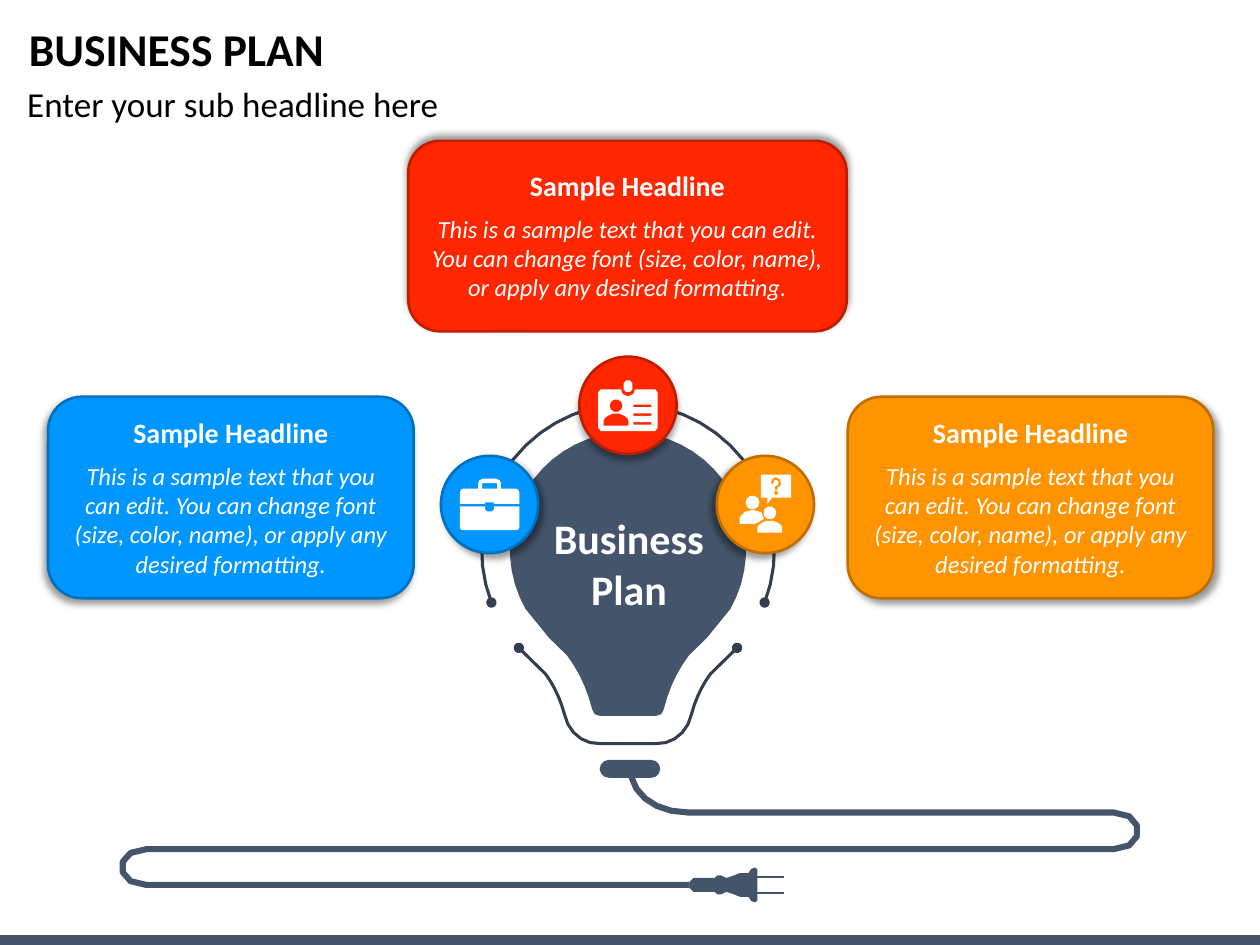
from math import cos, dist, radians, sin

from lxml.etree import SubElement
from pptx import Presentation
from pptx.dml.color import RGBColor
from pptx.enum.shapes import MSO_CONNECTOR as CONNECTOR, MSO_SHAPE as SHAPE
from pptx.enum.text import MSO_ANCHOR as ANCHOR, PP_ALIGN as ALIGN
from pptx.oxml.ns import qn
from pptx.util import Cm, Pt

WHITE = RGBColor(0xFF, 0xFF, 0xFF)
BLACK = RGBColor(0x00, 0x00, 0x00)
SLATE = RGBColor(0x44, 0x54, 0x6A)
NAVY = RGBColor(0x33, 0x3F, 0x50)
BLUE, BLUE_EDGE = RGBColor(0x00, 0x96, 0xFF), RGBColor(0x00, 0x70, 0xBF)
ORANGE, ORANGE_EDGE = RGBColor(0xFF, 0x93, 0x00), RGBColor(0xBF, 0x6E, 0x00)
RED, RED_EDGE = RGBColor(0xFF, 0x26, 0x00), RGBColor(0xBF, 0x1D, 0x00)

HEADLINE = "Sample Headline"
SAMPLE = ("This is a sample text that you can edit. You can change font "
          "(size, color, name), or apply any desired formatting.")
TITLE_FONT = {"size": Pt(26), "bold": True}
SUBTITLE_FONT = {"size": Pt(20)}
HEADLINE_FONT = {"size": Pt(16), "bold": True}
SAMPLE_FONT = {"size": Pt(14), "italic": True}
BULB_FONT = {"size": Pt(24), "bold": True}

BULB_CENTER = (12.66, 11.09)
BADGE_SIZE = 1.96


def trace(*steps):
    points = [steps[0]]
    for step in steps[1:]:
        if len(step) == 2:
            points.append(step)
            continue
        nodes = [points[-1], step[:2], step[2:4], step[4:]]
        pieces = 2 if dist(nodes[0], nodes[3]) < 3 else 5
        for i in range(1, pieces + 1):
            t = i / pieces
            weights = ((1 - t) ** 3, 3 * t * (1 - t) ** 2, 3 * t * t * (1 - t), t ** 3)
            points.append(tuple(sum(w * n[k] for w, n in zip(weights, nodes)) for k in (0, 1)))
    return points


def arc(x, y, radius, start=0, end=360):
    pieces = round(8 + abs(end - start) / 360 * radius * 1.2)
    angles = [radians(start + (end - start) * i / pieces) for i in range(pieces + 1)]
    return [(x + radius * cos(a), y + radius * sin(a)) for a in angles]


def mirror(half, x_sign=-1, y_sign=1):
    return half + [(x * x_sign, y * y_sign) for x, y in reversed(half)]


def shift(points, dx, dy):
    return [(x + dx, y + dy) for x, y in points]


def box(left, top, right, bottom):
    return [(left, top), (right, top), (right, bottom), (left, bottom)]


def paint(shape, fill=None, edge=None, width=1.5):
    shape.shadow.inherit = False
    if fill is None:
        shape.fill.background()
    else:
        shape.fill.solid()
        shape.fill.fore_color.rgb = fill
    if edge is None:
        shape.line.fill.background()
    else:
        shape.line.color.rgb = edge
        shape.line.width = Pt(width)


def add_outline(slide, origin, contours, fill=None, edge=None, width=1.5):
    builder = None
    for contour in contours:
        points = [(Cm(origin[0] + x / 10), Cm(origin[1] + y / 10)) for x, y in contour]
        if builder is None:
            builder = slide.shapes.build_freeform(*points[0], scale=1.0)
        else:
            builder.move_to(*points[0])
        builder.add_line_segments(points[1:], close=fill is not None)
    outline = builder.convert_to_shape()
    paint(outline, fill, edge, width)
    return outline


def add_dotted_outline(slide, points):
    outline = add_outline(slide, BULB_CENTER, [points], edge=NAVY, width=1.75)
    for end in ("a:headEnd", "a:tailEnd"):
        SubElement(outline.line._get_or_add_ln(), qn(end), type="oval")


def add_preset(slide, kind, bounds, fill, edge=None, shadow_angle=None):
    shape = slide.shapes.add_shape(kind, *map(Cm, bounds))
    paint(shape, fill, edge)
    if shadow_angle is not None:
        effects = shape._element.spPr.find(qn("a:effectLst"))
        shadow = SubElement(effects, qn("a:outerShdw"), blurRad=str(Pt(4)), dist=str(Pt(3)),
                            dir=str(shadow_angle * 60000), rotWithShape="0")
        color = SubElement(shadow, qn("a:srgbClr"), val="000000")
        SubElement(color, qn("a:alpha"), val="40000")
    return shape


def write(frame, text, font_format, color, align):
    frame.text = text
    paragraph = frame.paragraphs[0]
    paragraph.alignment = align
    font = paragraph.runs[0].font
    font.color.rgb = color
    for key, value in {"name": "Calibri", **font_format}.items():
        setattr(font, key, value)
    return paragraph


def add_label(slide, bounds, text, font_format, color=WHITE, align=ALIGN.CENTER, wrap=True):
    frame = slide.shapes.add_textbox(*map(Cm, bounds)).text_frame
    frame.word_wrap = wrap
    return write(frame, text, font_format, color, align)


def add_heading(slide):
    title = slide.shapes.title
    bounds = {"left": 0.33, "top": 0.43, "width": 24.77, "height": 1.22}
    for key, value in bounds.items():
        setattr(title, key, Cm(value))
    title.text_frame.vertical_anchor = ANCHOR.MIDDLE
    heading = write(title.text_frame, "BUSINESS PLAN", TITLE_FONT, BLACK, ALIGN.LEFT)
    subheading = add_label(slide, (0.3, 1.63, 24.77, 1.63), "Enter your sub headline here",
                           SUBTITLE_FONT, BLACK, ALIGN.LEFT)
    heading.line_spacing = subheading.line_spacing = 0.9


def add_bulb(slide):
    add_dotted_outline(slide, arc(0, 0, 29.5, 159, 381))
    add_dotted_outline(slide, mirror(trace(
        (-22, 19.7), (-16.6, 25), (-14.9, 27.3, -13.6, 30.1, -12.8, 33.1),
        (-12.1, 36.7, -9, 39.2, -5.7, 39))))
    neck = trace((-20.7, 11.8), (-15.9, 17.7), (-12.3, 21.2),
                 (-10, 24.3, -8.3, 27.8, -7.2, 32.1), (-7.2, 33, -6.4, 33.4, -5.7, 33.4))
    glass = arc(0, 0, 23.8, 270, 150)
    add_outline(slide, BULB_CENTER, [mirror(glass + neck)], SLATE)


def add_cord(slide):
    cord = trace((127.3, 156.7), (128.3, 160.8, 132.8, 163.8, 138.7, 163.8), (224.5, 163.8),
                 (231, 163.8, 231, 171.2, 224.5, 171.2), (29.5, 171.2),
                 (22.9, 171.2, 22.9, 178.4, 29.5, 178.4), (139, 178.4))
    add_outline(slide, (0, 0), [cord], edge=SLATE, width=3.5)
    socket = add_preset(slide, SHAPE.ROUNDED_RECTANGLE, (12.09, 15.32, 1.22, 0.36), SLATE)
    socket.adjustments[0] = 0.5
    plug = [(0, 0), (0, -0.6), (0.8, -1.4), (5.1, -1.4), (5.6, -1.9), (6.4, -1.9), (7.4, -1.4),
            (8.4, -1.7), (10.2, -2.4), (11.9, -2.4), (12.4, -3.2), (13.1, -3.5), (13.7, -3.2),
            (13.7, 0)]
    add_outline(slide, (13.9, 17.84), [mirror(plug, 1, -1)], SLATE)
    for y in (17.68, 18):
        prong = slide.shapes.add_connector(CONNECTOR.STRAIGHT, Cm(15.27), Cm(y), Cm(15.8), Cm(y))
        prong.line.color.rgb = SLATE
        prong.line.width = Pt(1)
        SubElement(prong._element.spPr, qn("a:effectLst"))


def briefcase():
    base = trace((0, 1.4), (-0.5, 1.4), (-0.9, 1), (-0.9, 0.4), (-6, 0.4), (-6, 4.7),
                 (-6, 5, -5.6, 5.2, -5.3, 5.2))
    lid = trace((0, -0.4), (-0.9, -0.4), (-0.9, -0.1), (-6, -0.1), (-6, -2.4),
                (-6, -2.9, -5.6, -3.2, -5.3, -3.2), (-2.3, -3.2), (-2.3, -4.2),
                (-2.3, -4.7, -1.9, -5.2, -1.3, -5.2))
    handle_gap = [(-1.5, -3.2), (-1.5, -4.2), (-1.3, -4.3)]
    return [mirror(half) for half in (base, lid, handle_gap)]


def person(x, y):
    shoulders = mirror([(-0.7, 1.6), (-1.6, 2), (-2.3, 2.5), (-2.5, 3), (-2.5, 4)])
    return [arc(x, y, 1.3), shift(shoulders, x, y)]


def id_card():
    card = [(-0.3, -1.9), (-1.1, -2.3), (-1.4, -3.2), (-5.5, -3.2), (-6, -2.6), (-6, 4.5),
            (-5.5, 5.2)]
    clip = [(-0.4, -5), (-0.9, -4.4), (-0.9, -3.2), (-0.4, -2.7)]
    lines = [box(1.1, y, 4.7, y + 0.5) for y in (-0.1, 1.65, 3.4)]
    return [mirror(card), mirror(clip), *person(-2.4, 0.1), *lines]


def discussion():
    back = [(0, 1.5), (1.2, 1.8), (1.8, 2), (2.3, 3.3), (1, 4.1), (0.5, 4.3), (-2.6, 4.3),
            (-2.6, 3), (-1.6, 1.9)]
    bubble = [(-0.9, -6), (5.2, -6), (5.2, -1.4), (1.4, -1.4), (0.4, -0.1), (0.4, -1.4),
              (-0.9, -1.4)]
    question = trace((1.1, -4.2), (1.1, -5, 1.4, -5.5, 2.1, -5.5), (2.7, -5.5, 3.2, -4.9, 3.2, -4.2),
                     (3.2, -3.8, 2.9, -3.5, 2.4, -3.4), (2.4, -2.9), (1.9, -2.9), (1.9, -3.7),
                     (2.2, -3.7), (2.7, -4.2), (2.7, -4.6, 2.5, -5, 2.1, -5),
                     (1.8, -5, 1.6, -4.6, 1.6, -4.2))
    return [*person(0.9, 1.7), arc(-2.6, -0.4, 1.4), shift(back, -2.6, -0.4),
            bubble, question, box(1.8, -2.7, 2.5, -2)]


def add_badge(slide, center, fill, edge, angle, icon):
    corner = [value - BADGE_SIZE / 2 for value in center]
    add_preset(slide, SHAPE.OVAL, (*corner, BADGE_SIZE, BADGE_SIZE), fill, edge, angle)
    add_outline(slide, center, icon, WHITE)


def add_card(slide, bounds, fill, edge, angle, inset, headline_gap):
    left, top, width, height = bounds
    add_preset(slide, SHAPE.ROUNDED_RECTANGLE, bounds, fill, edge, angle)
    headline_top = top + headline_gap
    add_label(slide, (left + (width - 4.5) / 2, headline_top, 4.5, 0.94), HEADLINE,
              HEADLINE_FONT, wrap=False)
    sample_top = headline_top + 0.91
    add_label(slide, (left + inset, sample_top, width - 2 * inset, top + height - sample_top - 0.25),
              SAMPLE, SAMPLE_FONT)


def main():
    deck = Presentation()
    deck.slide_width, deck.slide_height = Cm(25.4), Cm(19.05)
    slide = deck.slides.add_slide(deck.slide_layouts[5])
    add_preset(slide, SHAPE.RECTANGLE, (0, 18.85, 25.4, 0.2), SLATE)
    add_heading(slide)
    add_bulb(slide)
    add_cord(slide)
    add_badge(slide, (9.87, 10.17), BLUE, BLUE_EDGE, 45, briefcase())
    add_badge(slide, (15.43, 10.17), ORANGE, ORANGE_EDGE, 135, discussion())
    add_badge(slide, (12.66, 8.17), RED, RED_EDGE, 90, id_card())
    add_card(slide, (0.97, 8, 7.37, 4.06), BLUE, BLUE_EDGE, 135, 0.13, 0.25)
    add_card(slide, (17.09, 8, 7.37, 4.06), ORANGE, ORANGE_EDGE, 45, 0.13, 0.25)
    add_card(slide, (8.23, 2.84, 8.84, 3.84), RED, RED_EDGE, 270, 0.2, 0.43)
    add_label(slide, (10.85, 10.21, 3.66, 2.31), "Business Plan", BULB_FONT)
    deck.save("out.pptx")


if __name__ == "__main__":
    main()
